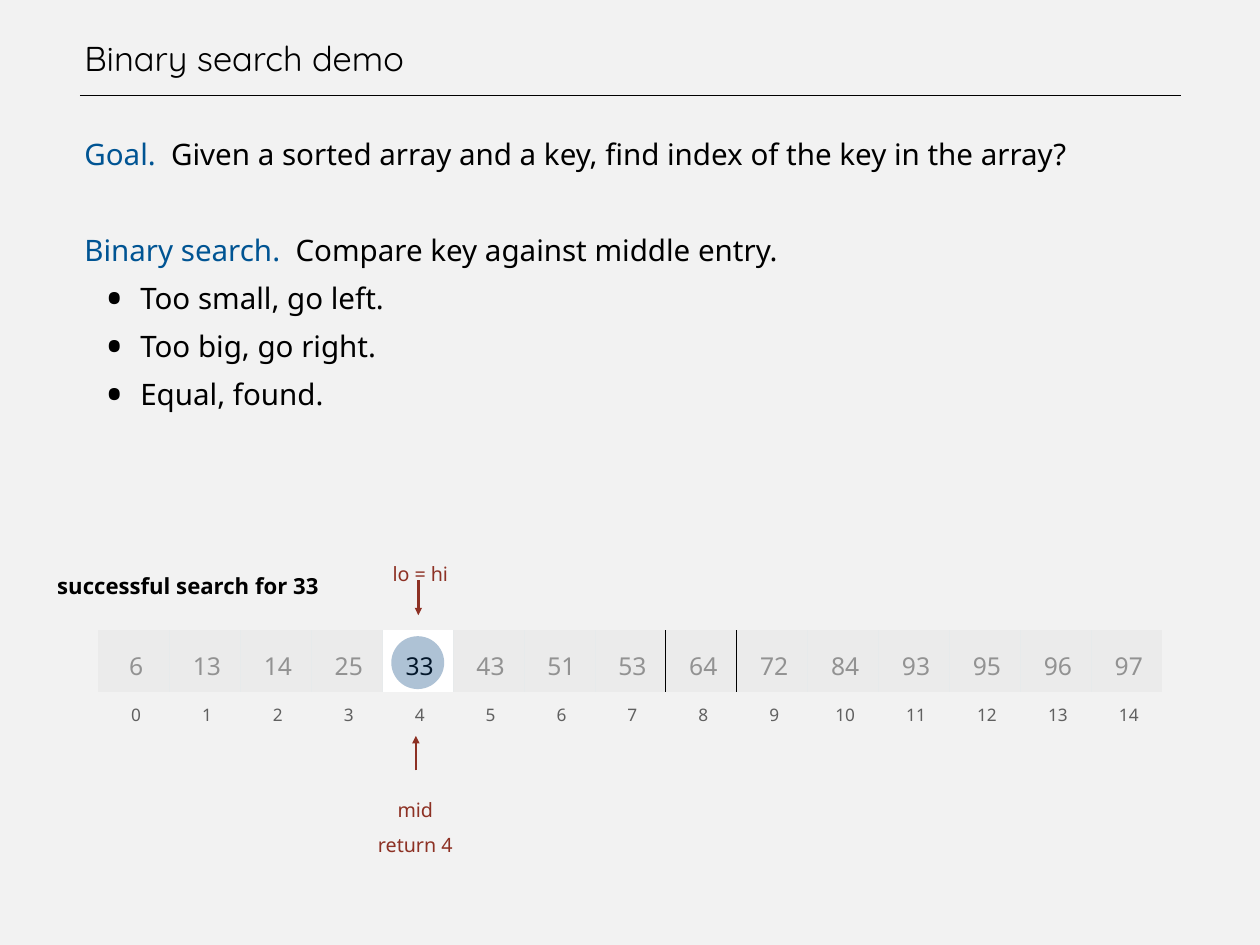
from lxml.etree import SubElement
from pptx import Presentation
from pptx.dml.color import RGBColor
from pptx.enum.shapes import MSO_CONNECTOR as Connector, MSO_SHAPE as Shape
from pptx.enum.text import MSO_ANCHOR as Anchor, MSO_AUTO_SIZE as AutoSize, PP_ALIGN as Align
from pptx.oxml.ns import qn
from pptx.util import Pt

BLACK = RGBColor(0x00, 0x00, 0x00)
WHITE = RGBColor(0xFF, 0xFF, 0xFF)
PAPER = RGBColor(0xF2, 0xF2, 0xF2)
BLUE = RGBColor(0x00, 0x54, 0x93)
RED = RGBColor(0x8D, 0x31, 0x24)
MARKER = RGBColor(0x0C, 0x46, 0x81)
CELL = RGBColor(0xEB, 0xEB, 0xEB)
CELL_EDGE = RGBColor(0xE7, 0xEA, 0xEB)
CELL_TEXT = RGBColor(0x92, 0x92, 0x92)
INDEX_TEXT = RGBColor(0x60, 0x60, 0x60)

NO_STYLE = "{2D5ABB26-0587-4C30-8999-92F81FD0307C}"
VALUES = [6, 13, 14, 25, 33, 43, 51, 53, 64, 72, 84, 93, 95, 96, 97]
FOUND = 4
DARK_EDGES = (8, 9)  # column boundaries drawn in black


class SlideBuilder:
    title_font = "Quicksand"
    body_font = "Noto Sans"

    def __init__(self, page):
        self.page = page
        page.background.fill.solid()
        page.background.fill.fore_color.rgb = PAPER

    def style(self, para, size, color=None, bold=False, name=None):
        para.font.name = name or self.body_font
        para.font.size = Pt(size)
        para.font.bold = bold
        if color is not None:
            para.font.color.rgb = color

    def frame(self, box, left, top, right, bottom):
        frame = box.text_frame
        frame.margin_left, frame.margin_top = Pt(left), Pt(top)
        frame.margin_right, frame.margin_bottom = Pt(right), Pt(bottom)
        return frame

    def title(self, text, left, top, width, height):
        box = self.page.shapes.title
        box.left, box.top, box.width, box.height = Pt(left), Pt(top), Pt(width), Pt(height)
        frame = self.frame(box, 4.5, 0, 0, 0)
        frame.auto_size = AutoSize.NONE
        frame.vertical_anchor = Anchor.BOTTOM
        frame.text = text
        para = frame.paragraphs[0]
        para.alignment = Align.LEFT
        self.style(para, 28, BLACK, name=self.title_font)

    def body(self, statements, bullets, left, top, width, height):
        box = self.page.shapes.add_textbox(Pt(left), Pt(top), Pt(width), Pt(height))
        frame = self.frame(box, 4.5, 0, 0, 0)
        frame.word_wrap = True
        for number, (lead, rest) in enumerate(statements):
            para = frame.add_paragraph() if number else frame.paragraphs[0]
            para.line_spacing = Pt(39)
            para.space_before = Pt(39 if number else 0)
            self.style(para, 24)
            for text, color in ((lead + " ", BLUE), (" " + rest, BLACK)):
                span = para.add_run()
                span.text = text
                span.font.color.rgb = color
        for text in bullets:
            para = frame.add_paragraph()
            para.text = text
            para.line_spacing = Pt(39)
            self.style(para, 24, BLACK)
            self.bullet(para)

    def bullet(self, para):
        props = para._p.get_or_add_pPr()
        props.set("marL", str(Pt(45.5)))
        props.set("indent", str(Pt(-28)))
        size = props.makeelement(qn("a:buSzPct"), {"val": "166000"})
        font = props.makeelement(qn("a:buFont"), {"typeface": self.body_font})
        mark = props.makeelement(qn("a:buChar"), {"char": "•"})
        for part in (size, font, mark):
            props.find(qn("a:defRPr")).addprevious(part)

    def label(self, lines, left, top, width, height, size=16, color=RED,
              bold=False, align=Align.LEFT):
        box = self.page.shapes.add_textbox(Pt(left), Pt(top), Pt(width), Pt(height))
        frame = self.frame(box, 9, 4.5, 0, 4.5)
        frame.word_wrap = False
        frame.auto_size = AutoSize.NONE
        frame.text = "\n".join(lines)
        for para in frame.paragraphs:
            para.alignment = align
            para.line_spacing = 1.5
            self.style(para, size, color, bold)

    def line(self, x1, y1, x2, y2, color=BLACK, width=1, arrow=False):
        line = self.page.shapes.add_connector(
            Connector.STRAIGHT, Pt(x1), Pt(y1), Pt(x2), Pt(y2))
        line.line.color.rgb = color
        line.line.width = Pt(width)
        if arrow:
            SubElement(line.line._get_or_add_ln(), qn("a:tailEnd"), type="triangle")
        SubElement(line.element.spPr, qn("a:effectLst"))

    def disc(self, left, top, size, color, opacity):
        disc = self.page.shapes.add_shape(Shape.OVAL, Pt(left), Pt(top), Pt(size), Pt(size))
        disc.shadow.inherit = False
        disc.line.fill.background()
        disc.fill.solid()
        disc.fill.fore_color.rgb = color
        shade = next(disc.element.spPr.iter(qn("a:srgbClr")))
        SubElement(shade, qn("a:alpha"), val=str(opacity * 1000))

    def cell(self, cell, text, size, color):
        cell.margin_left, cell.margin_right = Pt(8), Pt(4.5)
        cell.margin_top = cell.margin_bottom = Pt(3.6)
        cell.vertical_anchor = Anchor.MIDDLE
        cell.text = str(text)
        para = cell.text_frame.paragraphs[0]
        para.alignment = Align.CENTER
        para.line_spacing = 1.3
        self.style(para, size, color)

    def edges(self, cell, column, last):
        props = cell._tc.get_or_add_tcPr()
        place = 0
        for tag, boundary in (("a:lnL", column), ("a:lnR", column + 1)):
            if 0 < boundary <= last:
                edge = props.makeelement(qn(tag), {"w": str(Pt(0.45))})
                color = BLACK if boundary in DARK_EDGES else CELL_EDGE
                fill = SubElement(edge, qn("a:solidFill"))
                SubElement(fill, qn("a:srgbClr"), val=str(color))
                props.insert(place, edge)
                place += 1

    def array(self, values, found, left, top, column_width, row_heights):
        count = len(values)
        holder = self.page.shapes.add_table(
            2, count, Pt(left), Pt(top), Pt(column_width * count), Pt(sum(row_heights)))
        next(holder.element.iter(qn("a:tableStyleId"))).text = NO_STYLE
        table = holder.table
        table.first_row = table.horz_banding = False
        for row, height in zip(table.rows, row_heights):
            row.height = Pt(height)
        for column, value in enumerate(values):
            table.columns[column].width = Pt(column_width)
            entry, index = table.cell(0, column), table.cell(1, column)
            self.cell(entry, value, 20, BLACK if column == found else CELL_TEXT)
            entry.fill.solid()
            entry.fill.fore_color.rgb = WHITE if column == found else CELL
            self.edges(entry, column, count - 1)
            self.cell(index, column, 14, INDEX_TEXT)
            index.fill.background()


def main():
    deck = Presentation()
    deck.slide_width, deck.slide_height = Pt(1024), Pt(768)
    slide = SlideBuilder(deck.slides.add_slide(deck.slide_layouts[5]))

    # Heading
    slide.line(65, 77.8, 960, 77.8)
    slide.title("Binary search demo", 64, 0, 896, 64)

    # Explanation
    slide.body(
        [("Goal.", "Given a sorted array and a key, find index of the key in the array?"),
         ("Binary search.", "Compare key against middle entry.")],
        ["Too small, go left.", "Too big, go right.", "Equal, found."],
        64, 100, 896, 640)

    # Array with its indices
    slide.array(VALUES, FOUND, 80, 512, 57.65, (50.4, 30.2))

    # Pointers to the found entry
    slide.label(["lo = hi"], 310, 442.8, 58, 37)
    slide.line(340, 471.5, 340, 500, RED, 2, arrow=True)
    slide.label(["mid", "return 4"], 296, 634, 74, 65.5, align=Align.CENTER)
    slide.line(338, 626, 338, 598, RED, 2, arrow=True)
    slide.disc(318, 517, 43, MARKER, 33)

    # Caption
    slide.label(["successful search for 33"], 37.5, 450, 225.5, 40, 18, BLACK, bold=True)

    deck.save("out.pptx")


if __name__ == "__main__":
    main()
